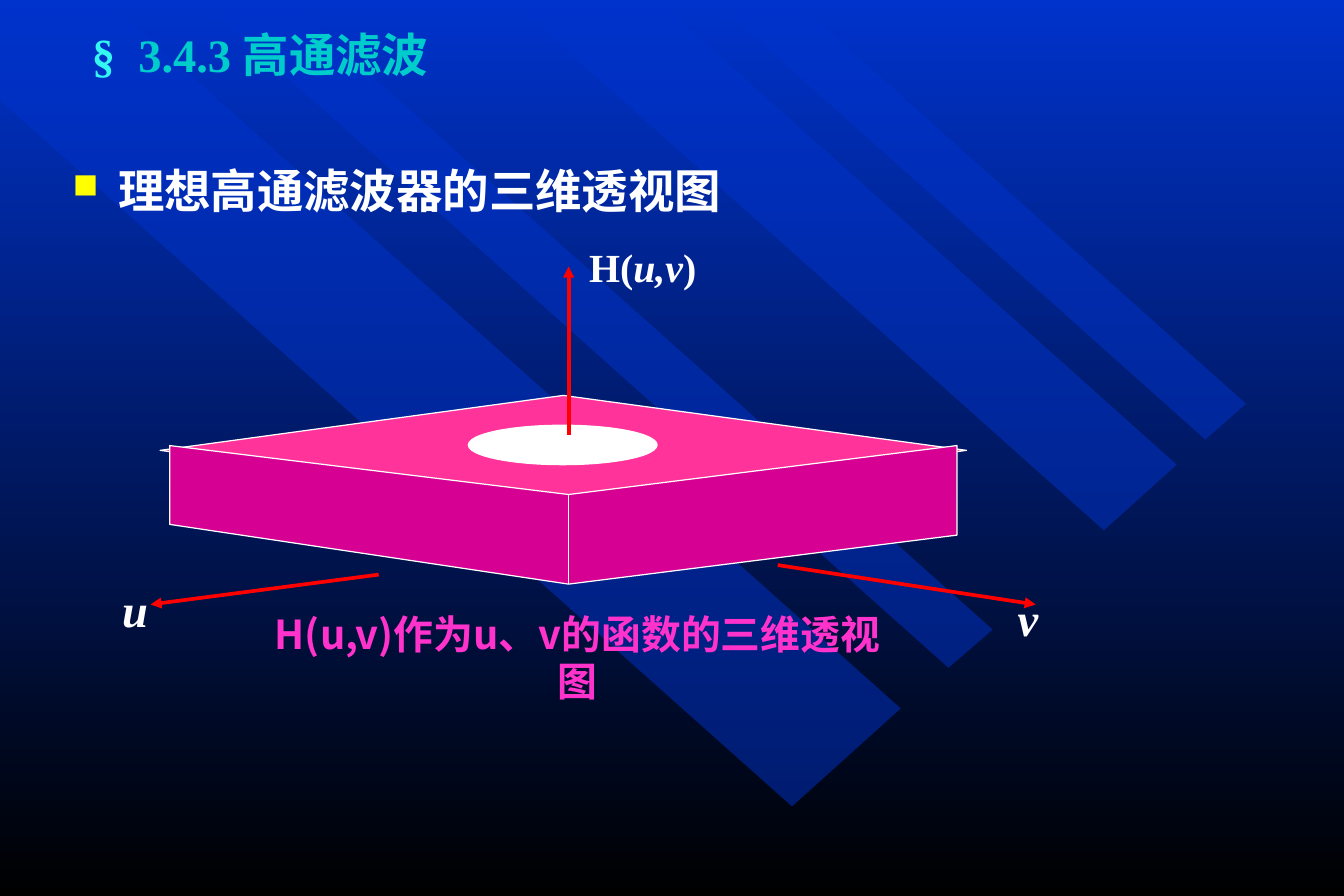
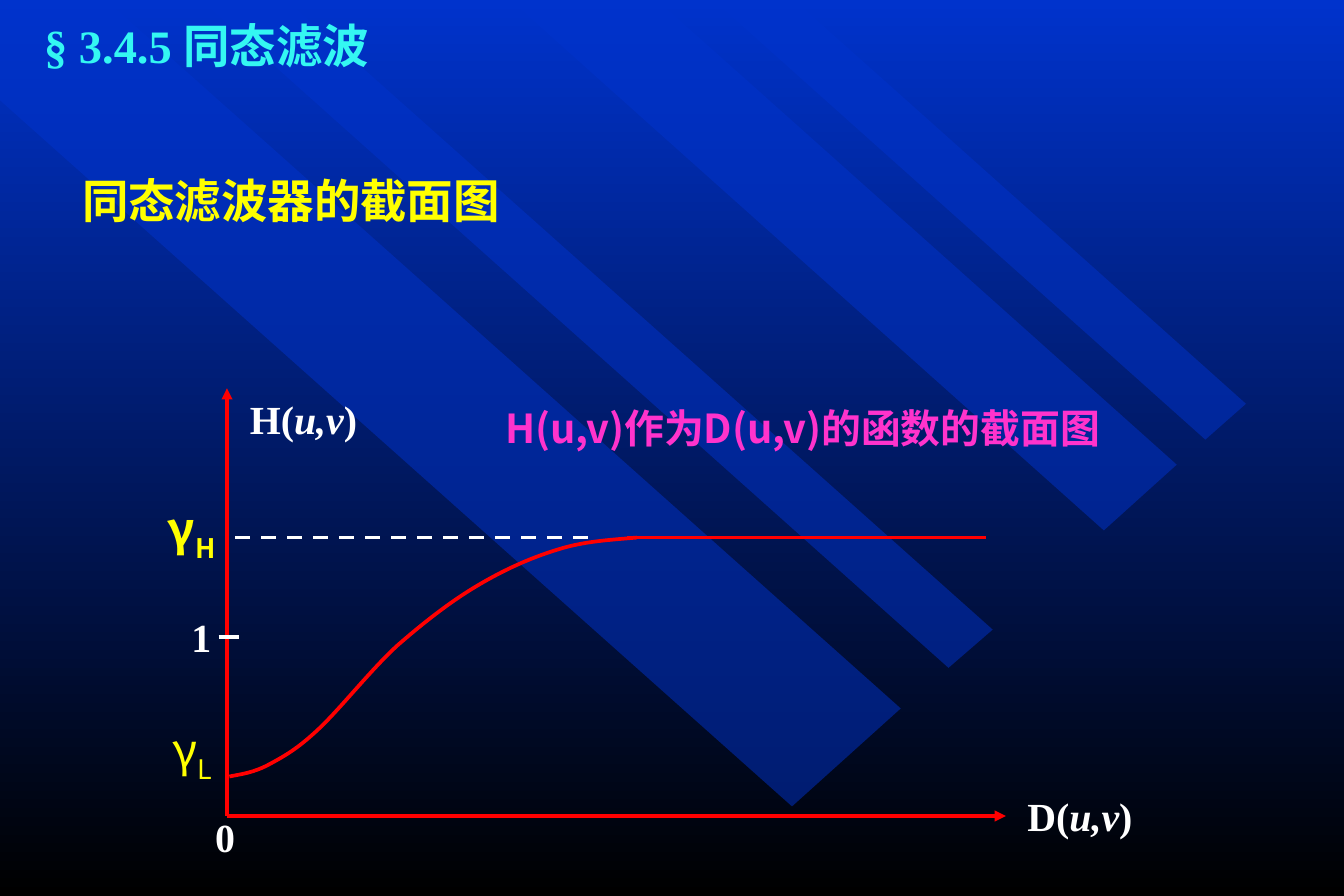
from dataclasses import dataclass

import lxml.etree
import pptx
import pptx.dml.color
import pptx.enum.dml
import pptx.enum.shapes
import pptx.enum.text
import pptx.oxml.ns
import pptx.presentation
import pptx.shapes.autoshape
import pptx.slide
import pptx.text.text
import pptx.util

RGB = pptx.dml.color.RGBColor
SHAPE = pptx.enum.shapes.MSO_SHAPE
ALIGN = pptx.enum.text.PP_ALIGN
ANCHOR = pptx.enum.text.MSO_ANCHOR
qn = pptx.oxml.ns.qn

PX = 9144  # EMU per px: 100 px to the inch
SLIDE_W, SLIDE_H = 1125, 750

BLUE = RGB(0x00, 0x33, 0xCC)
BLACK = RGB(0x00, 0x00, 0x00)
WHITE = RGB(0xFF, 0xFF, 0xFF)
RED = RGB(0xFF, 0x00, 0x00)
YELLOW = RGB(0xFF, 0xFF, 0x00)
CYAN = RGB(0x34, 0xF7, 0xF2)
TEAL = RGB(0x00, 0xCC, 0xCC)
PINK = RGB(0xFF, 0x33, 0xCC)
TOP_PINK = RGB(0xFF, 0x33, 0x99)
SIDE_PINK = RGB(0xD6, 0x00, 0x93)

SERIF = "Times New Roman"
SANS = "Noto Sans CJK SC"

Point = tuple[int, int]
Box = tuple[int, int, int, int]

RIBBONS: list[list[Point]] = [
    [(754, 593), (89, 0), (0, 0), (0, 84), (663, 675)],
    [(240, 0), (831, 527), (794, 559), (168, 0)],
    [(550, 0), (985, 389), (924, 444), (427, 0)],
    [(597, 0), (1009, 368), (1043, 338), (665, 0)],
]


@dataclass(frozen=True)
class Run:
    text: str
    color: RGB = WHITE
    size: int = 24
    font: str = SERIF
    bold: bool = True
    italic: bool = False
    subscript: bool = False


@dataclass(frozen=True)
class Label:
    box: Box
    runs: list[Run]
    align: ALIGN = ALIGN.CENTER
    anchor: ANCHOR = ANCHOR.MIDDLE
    wrap: bool = False
    bullet: bool = False


@dataclass(frozen=True)
class Line:
    start: Point
    end: Point
    color: RGB = RED
    width: float = 2.25
    arrow: bool = False
    dashed: bool = False


def function_of_uv(name: str) -> list[Run]:
    return [Run(f"{name}("), Run("u,v", italic=True), Run(")")]


def gamma(subscript: str, bold: bool) -> list[Run]:
    return [Run("γ", YELLOW, 28, SANS, bold),
            Run(subscript, YELLOW, 28, SANS, bold, subscript=True)]


def add_element(parent: lxml.etree._Element, tag: str, **attrs: str) -> lxml.etree._Element:
    child = lxml.etree.SubElement(parent, qn(tag))
    for name, value in attrs.items():
        child.set(name, value)
    return child


def add_runs(p: pptx.text.text._Paragraph, runs: list[Run]) -> None:
    for run in runs:
        r = p.add_run()
        r.text = run.text
        r.font.name = run.font
        r.font.size = pptx.util.Pt(run.size)
        r.font.bold = run.bold
        r.font.italic = run.italic
        r.font.color.rgb = run.color
        r_pr = r.font.element if hasattr(r.font, "element") else r._r.get_or_add_rPr()
        add_element(r_pr, "a:ea", typeface=SANS)
        if run.subscript:
            r_pr.set("baseline", "-25000")


def add_square_bullet(p: pptx.text.text._Paragraph) -> None:
    p_pr = p._p.get_or_add_pPr()
    p_pr.set("marL", str(38 * PX))
    p_pr.set("indent", str(-38 * PX))
    add_element(add_element(p_pr, "a:buClr"), "a:srgbClr", val=str(YELLOW))
    add_element(p_pr, "a:buSzPct", val="75000")
    add_element(p_pr, "a:buChar", char="■")


def add_label(s: pptx.slide.Slide, label: Label) -> None:
    tf = s.shapes.add_textbox(*(v * PX for v in label.box)).text_frame
    tf.word_wrap = label.wrap
    tf.vertical_anchor = label.anchor
    p = tf.paragraphs[0]
    p.alignment = label.align
    if label.bullet:
        add_square_bullet(p)
    add_runs(p, label.runs)


def add_heading(s: pptx.slide.Slide, box: Box, run: Run, bullet: bool = False) -> None:
    add_label(s, Label(box, [run], ALIGN.LEFT, ANCHOR.TOP, True, bullet))


def add_line(s: pptx.slide.Slide, line: Line) -> None:
    ends = (v * PX for v in line.start + line.end)
    c = s.shapes.add_connector(pptx.enum.shapes.MSO_CONNECTOR.STRAIGHT, *ends)
    c.line.color.rgb = line.color
    c.line.width = pptx.util.Pt(line.width)
    if line.dashed:
        c.line.dash_style = pptx.enum.dml.MSO_LINE.DASH
    if line.arrow:
        add_element(c.get_or_add_ln(), "a:tailEnd", type="triangle")
    add_element(c.element.spPr, "a:effectLst")


def paint(shape: pptx.shapes.autoshape.Shape, fill: RGB | None, line: RGB | None,
          width: float = 0.75) -> None:
    shape.shadow.inherit = False
    if fill is None:
        shape.fill.background()
    else:
        shape.fill.solid()
        shape.fill.fore_color.rgb = fill
    if line is None:
        shape.line.fill.background()
    else:
        shape.line.color.rgb = line
        shape.line.width = pptx.util.Pt(width)


def add_outline(s: pptx.slide.Slide, points: list[Point],
                close: bool = True) -> pptx.shapes.autoshape.Shape:
    builder = s.shapes.build_freeform(*points[0], scale=PX)
    builder.add_line_segments(points[1:], close=close)
    return builder.convert_to_shape()


def add_curve(s: pptx.slide.Slide, points: list[Point]) -> None:
    """Draw cubic Béziers: a start, then two controls and an end for each."""
    shape = add_outline(s, points, close=False)
    path = shape.element.xpath(".//a:path")[0]
    segments = path.findall(qn("a:lnTo"))
    for i in range(0, len(segments), 3):
        bezier = add_element(path, "a:cubicBezTo")
        for segment in segments[i:i + 3]:
            bezier.append(segment[0])
            path.remove(segment)
    paint(shape, None, RED, 2.25)


def set_backdrop(prs: pptx.presentation.Presentation, s: pptx.slide.Slide) -> None:
    """Give the master its gradient and ribbons; the ribbons are built on s."""
    master = prs.slide_master
    fill = master.background.fill
    fill.gradient()
    fill.gradient_angle = 270
    for stop, color, position in zip(fill.gradient_stops, (BLUE, BLACK), (0, 1)):
        stop.color.rgb = color
        stop.position = position
    for i, points in enumerate(RIBBONS):
        ribbon = add_outline(s, points)
        paint(ribbon, BLUE, None)
        color = ribbon.element.spPr.find(qn("a:solidFill"))[0]
        add_element(color, "a:alpha", val="50000")
        ribbon.element.nvSpPr.cNvPr.set("id", str(100 + i))
        master.shapes.element.insert(2 + i, ribbon.element)


def add_slide(prs: pptx.presentation.Presentation, box: Box, runs: list[Run],
              line_spacing: float = 1.0) -> pptx.slide.Slide:
    s = prs.slides.add_slide(prs.slide_layouts.get_by_name("Title Only"))
    title = s.shapes.title
    title.left, title.top, title.width, title.height = (v * PX for v in box)
    tf = title.text_frame
    tf.auto_size = pptx.enum.text.MSO_AUTO_SIZE.NONE
    tf.vertical_anchor = ANCHOR.TOP
    p = tf.paragraphs[0]
    p.alignment = ALIGN.LEFT
    p.line_spacing = line_spacing
    add_runs(p, runs)
    return s


def build_highpass(prs: pptx.presentation.Presentation) -> None:
    s = add_slide(prs, (67, 17, 535, 57),
                  [Run("§", CYAN, 28), Run("  3.4.3 高通滤波", TEAL, 28)])
    set_backdrop(prs, s)
    add_heading(s, (51, 131, 883, 100), Run("理想高通滤波器的三维透视图", WHITE, 28), bullet=True)
    add_line(s, Line((651, 473), (867, 506), arrow=True))
    add_line(s, Line((317, 481), (126, 506), arrow=True))
    for label in (
        Label((842, 489, 37, 57), [Run("v", size=28, italic=True)]),
        Label((92, 481, 42, 57), [Run("u", size=28, italic=True)]),
        Label((483, 198, 110, 50), function_of_uv("H")),
        Label((207, 525, 553, 50),
              [Run("H(u,v)作为u、v的函数的三维透视图", PINK, font=SANS)], wrap=True),
    ):
        add_label(s, label)

    top = s.shapes.add_shape(SHAPE.DIAMOND, *(v * PX for v in (134, 331, 675, 92)))
    paint(top, TOP_PINK, WHITE)
    sides = add_outline(s, [(142, 373), (142, 439), (476, 489),
                            (801, 448), (801, 373), (476, 414)])
    paint(sides, SIDE_PINK, WHITE)
    hole = s.shapes.add_shape(SHAPE.OVAL, *(v * PX for v in (392, 356, 158, 33)))
    paint(hole, WHITE, WHITE)
    add_line(s, Line((476, 364), (476, 223), arrow=True))
    add_line(s, Line((476, 414), (476, 489), WHITE, 0.75))


def build_homomorphic(prs: pptx.presentation.Presentation) -> None:
    s = add_slide(prs, (27, 0, 425, 66), [Run("§ 3.4.5 同态滤波", CYAN, 28)], 1.2)
    add_heading(s, (59, 139, 917, 100), Run("同态滤波器的截面图", YELLOW, 28))

    origin, plateau = (190, 683), 450
    add_line(s, Line(origin, (842, 683), arrow=True))
    add_line(s, Line(origin, (190, 325), arrow=True))
    add_curve(s, [(192, 650),
                  (202, 648), (212, 647), (225, 640),
                  (238, 633), (249, 627), (267, 610),
                  (285, 593), (311, 560), (333, 540),
                  (356, 520), (378, 503), (400, 490),
                  (422, 477), (444, 467), (467, 460),
                  (489, 453), (511, 452), (533, plateau)])
    add_line(s, Line((183, 533), (200, 533), WHITE))
    add_line(s, Line((525, plateau), (825, plateau)))
    add_line(s, Line((492, plateau), (192, plateau), WHITE, dashed=True))
    for label in (
        Label((170, 675, 37, 50), [Run("0")]),
        Label((850, 658, 108, 50), function_of_uv("D")),
        Label((199, 325, 110, 50), function_of_uv("H")),
        Label((150, 508, 37, 50), [Run("1")]),
        Label((413, 333, 562, 50),
              [Run("H(u,v)作为D(u,v)的函数的截面图", PINK, font=SANS)], ALIGN.LEFT, wrap=True),
        Label((124, 417, 73, 57), gamma("H", bold=True)),
        Label((125, 602, 72, 57), gamma("L", bold=False)),
    ):
        add_label(s, label)


def main() -> None:
    prs = pptx.Presentation()
    prs.slide_width, prs.slide_height = SLIDE_W * PX, SLIDE_H * PX
    build_highpass(prs)
    build_homomorphic(prs)
    prs.save("out.pptx")


if __name__ == "__main__":
    main()
